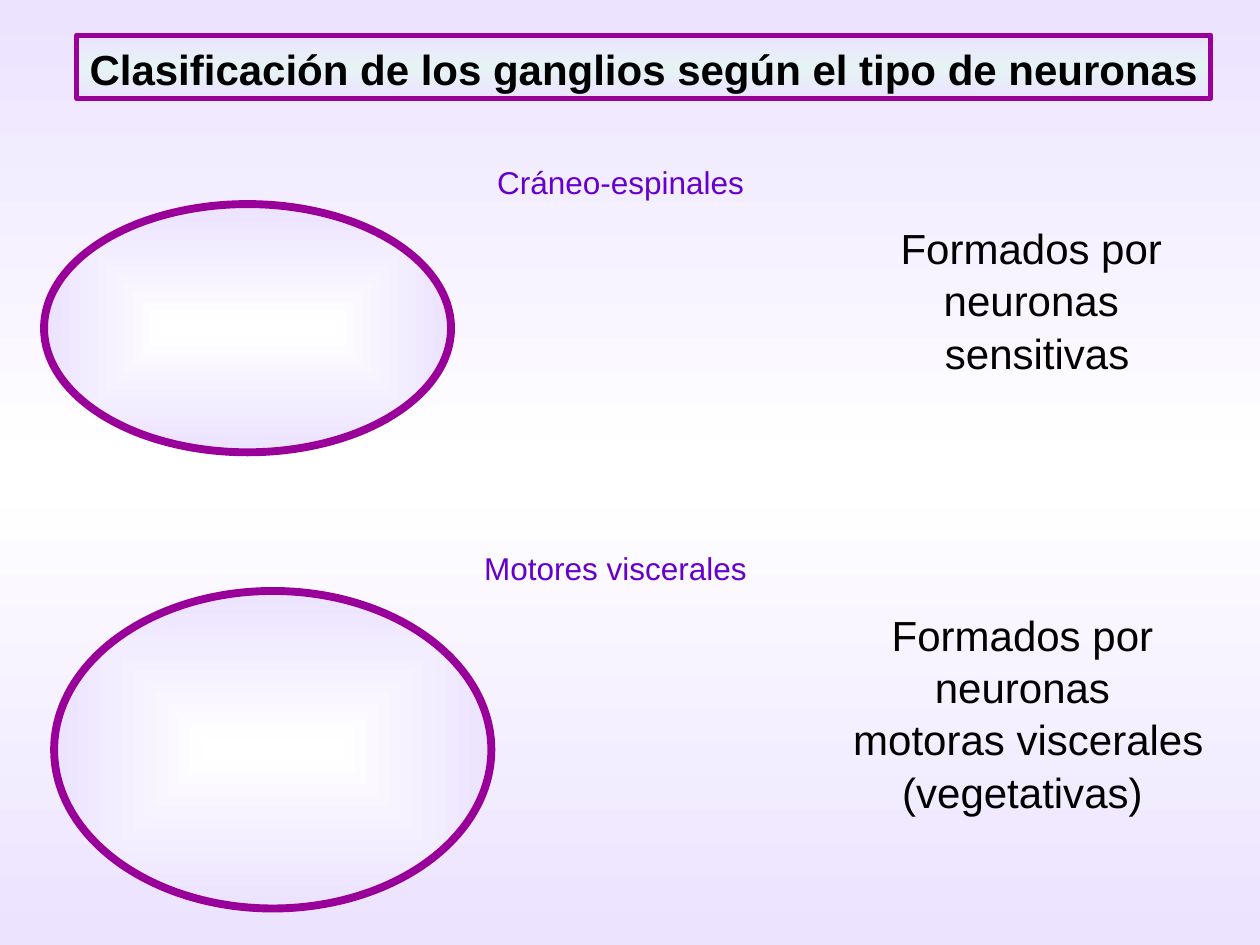
from lxml import etree
from pptx import Presentation
from pptx.dml.color import RGBColor
from pptx.enum.shapes import MSO_SHAPE
from pptx.enum.text import MSO_ANCHOR, MSO_AUTO_SIZE, PP_ALIGN
from pptx.oxml.ns import qn
from pptx.util import Inches, Pt

OVAL = MSO_SHAPE.OVAL
CENTER = PP_ALIGN.CENTER
TOP = MSO_ANCHOR.TOP
NO_FIT = MSO_AUTO_SIZE.NONE
TITLE_ONLY = 5
COLORS = {
    "lilac": "ECE3FF",
    "white": "FFFFFF",
    "mint": "E6F3F4",
    "outline": "990099",
    "label": "6600CC",
    "text": "000000",
}


class GangliaSlide:
    font = "Arial"
    line_spacing = 1.04

    def __init__(self, presentation):
        self.slide = presentation.slides.add_slide(presentation.slide_layouts[TITLE_ONLY])

    def color(self, name):
        return RGBColor.from_string(COLORS[name])

    def gradient(self, fill, owner, names, from_center=False):
        fill.gradient()
        grad = next(owner.iter(qn("a:gradFill")))
        for child in list(grad):
            grad.remove(child)
        stops = etree.SubElement(grad, qn("a:gsLst"))
        for index, name in enumerate(names):
            position = str(100000 * index // (len(names) - 1))
            stop = etree.SubElement(stops, qn("a:gs"), {"pos": position})
            etree.SubElement(stop, qn("a:srgbClr"), {"val": COLORS[name]})
        if from_center:
            direction = etree.SubElement(grad, qn("a:path"), {"path": "rect"})
            sides = {side: "50000" for side in "ltrb"}
            etree.SubElement(direction, qn("a:fillToRect"), sides)
        else:
            etree.SubElement(grad, qn("a:lin"), {"ang": "5400000", "scaled": "0"})

    def background(self):
        self.gradient(self.slide.background.fill, self.slide.element, ["lilac", "white", "lilac"])

    def outline(self, shape, width):
        shape.line.color.rgb = self.color("outline")
        shape.line.width = Pt(width)

    def add_lines(self, shape, lines, size, color="text", bold=False):
        frame = shape.text_frame
        frame.word_wrap = False
        frame.auto_size = NO_FIT
        frame.vertical_anchor = TOP
        for index, line in enumerate(lines):
            paragraph = frame.add_paragraph() if index else frame.paragraphs[0]
            paragraph.alignment = CENTER
            paragraph.line_spacing = self.line_spacing
            run = paragraph.add_run()
            run.text = line
            run.font.name = self.font
            run.font.size = Pt(size)
            run.font.bold = bold
            run.font.color.rgb = self.color(color)

    def title(self, text, left, top, width, height):
        title = self.slide.shapes.title
        title.left, title.top = Inches(left), Inches(top)
        title.width, title.height = Inches(width), Inches(height)
        self.gradient(title.fill, title.element, ["lilac", "mint", "lilac"])
        self.outline(title, 3)
        self.add_lines(title, [text], 24, bold=True)

    def ganglion(self, left, top, width, height):
        oval = self.slide.shapes.add_shape(
            OVAL, Inches(left), Inches(top), Inches(width), Inches(height))
        oval.shadow.inherit = False
        self.gradient(oval.fill, oval.element, ["white", "lilac"], from_center=True)
        self.outline(oval, 4.5)

    def text(self, lines, left, top, width, height, size=24, color="text"):
        box = self.slide.shapes.add_textbox(
            Inches(left), Inches(top), Inches(width), Inches(height))
        self.add_lines(box, lines, size, color)


def main():
    presentation = Presentation()
    presentation.slide_width = Inches(10)
    presentation.slide_height = Inches(7.5)
    page = GangliaSlide(presentation)
    page.background()
    page.title("Clasificación de los ganglios según el tipo de neuronas", 0.61, 0.28, 9, 0.5)

    page.ganglion(0.35, 1.62, 3.23, 1.97)
    page.ganglion(0.43, 4.69, 3.47, 2.52)

    opening = ["Formados por", "neuronas"]
    page.text(opening + [" sensitivas"], 7.05, 1.7, 2.27, 1.3)
    page.text(opening + [" motoras viscerales", "(vegetativas)"], 6.58, 4.77, 3.07, 1.7)

    page.text(["Cráneo-espinales"], 3.43, 1.23, 2.99, 1.34, 18, "label")
    page.text(["Motores viscerales"], 3.43, 4.3, 2.91, 1.34, 18, "label")
    presentation.save("out.pptx")


if __name__ == "__main__":
    main()
